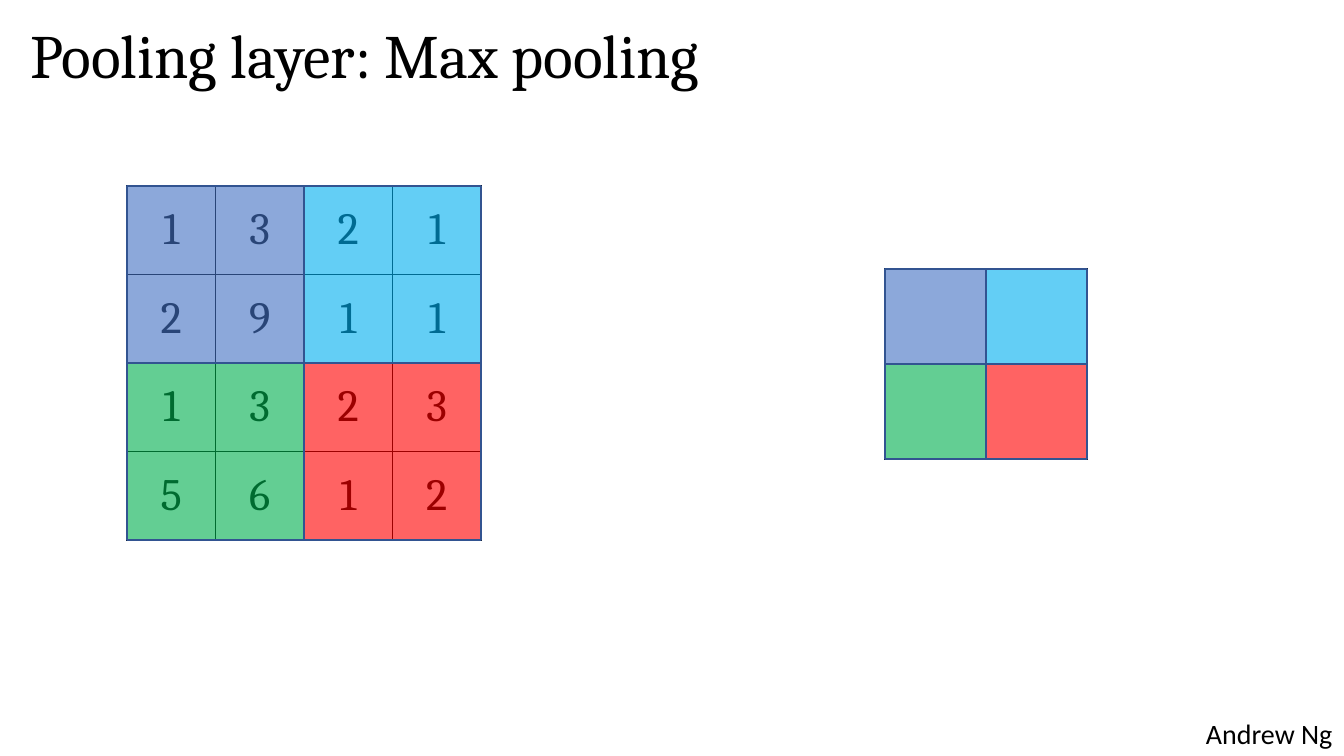
"""Build the max pooling slide: a 4 by 4 input grid and its 2 by 2 pooled output."""
from lxml import etree
from pptx import Presentation
from pptx.dml.color import RGBColor
from pptx.enum.shapes import MSO_SHAPE
from pptx.enum.text import MSO_ANCHOR, MSO_AUTO_SIZE, PP_ALIGN
from pptx.oxml.ns import qn
from pptx.util import Pt

RECTANGLE = MSO_SHAPE.RECTANGLE
TOP, MIDDLE = MSO_ANCHOR.TOP, MSO_ANCHOR.MIDDLE
LEFT, CENTER = PP_ALIGN.LEFT, PP_ALIGN.CENTER
NO_AUTOFIT = MSO_AUTO_SIZE.NONE

TITLE = "Pooling layer: Max pooling"
AUTHOR = "Andrew Ng"
COLORS = {
    "text": "000000", "grid": "000000", "outline": "325491",
    "blue": "4472C4", "cyan": "00B0F0", "green": "00B050", "red": "FF0000",
}
QUADRANTS = [["blue", "cyan"], ["green", "red"]]
OPACITY = 61
GRIDS = [
    {"corner": (127, 186), "quadrant": (177, 177),
     "values": [[1, 3, 2, 1], [2, 9, 1, 1], [1, 3, 2, 3], [5, 6, 1, 2]]},
    {"corner": (885, 269), "quadrant": (101, 95),
     "values": [["", ""], ["", ""]]},
]
TITLE_AREA = (20, 20, 1159, 146)
AUTHOR_AREA = (1196, 712, 148, 44)
SCALE = 12192000 / 1344


def emu(*pixels):
    return [round(pixel * SCALE) for pixel in pixels]


def color(name):
    return RGBColor.from_string(COLORS[name])


def write(frame, text, size, font, align):
    para = frame.paragraphs[0]
    para.text = text
    para.alignment = align
    for span in para.runs:
        span.font.size = Pt(size)
        span.font.name = font
        span.font.color.rgb = color("text")
    return para


def add_borders(cell):
    properties = cell._tc.get_or_add_tcPr()
    for side in ("a:lnL", "a:lnR", "a:lnT", "a:lnB"):
        line = etree.SubElement(properties, qn(side), w=str(Pt(1)))
        fill = etree.SubElement(line, qn("a:solidFill"))
        etree.SubElement(fill, qn("a:srgbClr"), val=COLORS["grid"])


def add_grid(page, corner, quadrant, values):
    count = len(values)
    width, height = emu(*(2 * side for side in quadrant))
    table = page.shapes.add_table(count, count, *emu(*corner), width, height).table
    table.first_row = table.horz_banding = False
    for row, numbers in enumerate(values):
        table.rows[row].height = height // count
        table.columns[row].width = width // count
        for column, number in enumerate(numbers):
            cell = table.cell(row, column)
            add_borders(cell)
            cell.fill.background()
            cell.vertical_anchor = MIDDLE
            write(cell.text_frame, str(number), 32, "Cambria", CENTER)


def add_quadrants(page, corner, quadrant):
    group = page.shapes.add_group_shape()
    width, height = quadrant
    for row, names in enumerate(QUADRANTS):
        for column, name in enumerate(names):
            left, top = corner[0] + column * width, corner[1] + row * height
            box = group.shapes.add_shape(RECTANGLE, *emu(left, top, width, height))
            box.shadow.inherit = False
            box.fill.solid()
            box.fill.fore_color.rgb = color(name)
            tint = box.element.spPr.find(".//" + qn("a:srgbClr"))
            etree.SubElement(tint, qn("a:alpha"), val=str(OPACITY * 1000))
            box.line.color.rgb = color("outline")
            box.line.width = Pt(1)


deck = Presentation()
deck.slide_width, deck.slide_height = emu(1344, 756)
page = deck.slides.add_slide(deck.slide_layouts[5])

title = page.shapes.title
title.left, title.top, title.width, title.height = emu(*TITLE_AREA)
title.text_frame.auto_size = NO_AUTOFIT
title.text_frame.vertical_anchor = TOP
write(title.text_frame, TITLE, 44, "Cambria", LEFT).line_spacing = 0.9

author = page.shapes.add_textbox(*emu(*AUTHOR_AREA))
author.text_frame.word_wrap = False
write(author.text_frame, AUTHOR, 20, "Calibri", LEFT)

for grid in GRIDS:
    add_grid(page, **grid)
for grid in GRIDS:
    add_quadrants(page, grid["corner"], grid["quadrant"])

deck.save("out.pptx")
